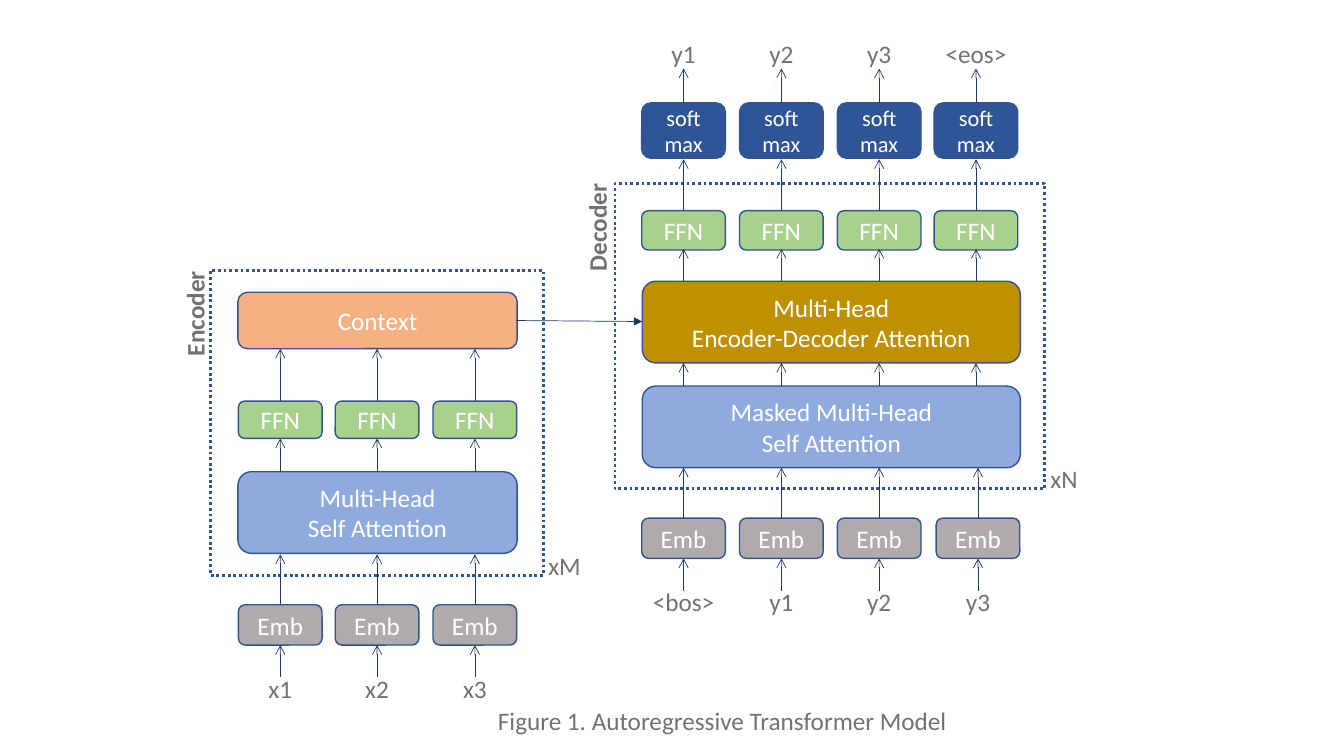
from lxml import etree
from pptx import Presentation
from pptx import util as u
from pptx.dml.color import RGBColor
from pptx.enum import dml, shapes, text
from pptx.oxml.ns import qn

WHITE, GRAY, NAVY, BLUE, EDGE = "FFFFFF", "767171", "203864", "2F5597", "325491"
GREEN, STONE, SKY, ORANGE, GOLD = "A9D18E", "AFABAB", "8FAADC", "F4B183", "BF9000"
CELL_WIDTH = 0.83


def color(value):
    return RGBColor.from_string(value)


class Diagram:
    font = "Calibri"

    def __init__(self, slide):
        self.slide = slide

    def set_text(self, shape, words, size, fill, align, bold=False):
        shape.text_frame.text = words
        for paragraph in shape.text_frame.paragraphs:
            paragraph.alignment = align
            for run in paragraph.runs:
                run.font.name = self.font
                run.font.size = u.Pt(size)
                run.font.bold = bold
                run.font.color.rgb = color(fill)

    def shape(self, kind, left, top, width, height, line, weight):
        shape = self.slide.shapes.add_shape(
            kind, u.Inches(left), u.Inches(top), u.Inches(width), u.Inches(height))
        shape.shadow.inherit = False
        shape.line.color.rgb = color(line)
        shape.line.width = u.Pt(weight)
        return shape

    def block(self, left, top, width, height, words, fill, size=18):
        shape = self.shape(shapes.MSO_SHAPE.ROUNDED_RECTANGLE,
                           left, top, width, height, EDGE, 1)
        shape.fill.solid()
        shape.fill.fore_color.rgb = color(fill)
        shape.text_frame.vertical_anchor = text.MSO_ANCHOR.MIDDLE
        self.set_text(shape, words, size, WHITE, text.PP_ALIGN.CENTER)

    def frame(self, left, top, width, height):
        shape = self.shape(shapes.MSO_SHAPE.RECTANGLE,
                           left, top, width, height, BLUE, 2)
        shape.fill.background()
        shape.line.dash_style = dml.MSO_LINE.ROUND_DOT

    def label(self, left, top, width, words, align=text.PP_ALIGN.LEFT,
              bold=False, rotation=0):
        shape = self.slide.shapes.add_textbox(
            u.Inches(left), u.Inches(top), u.Inches(width), u.Inches(0.4))
        shape.text_frame.word_wrap = True
        shape.rotation = rotation
        self.set_text(shape, words, 18, GRAY, align, bold)

    def arrow(self, x1, y1, x2, y2, head="arrow"):
        connector = self.slide.shapes.add_connector(
            shapes.MSO_CONNECTOR.STRAIGHT,
            u.Inches(x1), u.Inches(y1), u.Inches(x2), u.Inches(y2))
        connector.line.color.rgb = color(NAVY)
        connector.line.width = u.Pt(0.5)
        properties = connector.element.spPr
        etree.SubElement(properties.find(qn("a:ln")), qn("a:tailEnd"), type=head)
        etree.SubElement(properties, qn("a:effectLst"))

    def block_row(self, centers, top, height, words, fill, size=18):
        for center in centers:
            self.block(center - CELL_WIDTH / 2, top, CELL_WIDTH, height, words, fill, size)

    def arrow_row(self, centers, *spans):
        for start, end in spans:
            for center in centers:
                self.arrow(center, start, center, end)

    def label_row(self, centers, top, names):
        for center, name in zip(centers, names):
            self.label(center - 0.5, top, 1, name, text.PP_ALIGN.CENTER)


presentation = Presentation()
presentation.slide_width = u.Inches(13.33)
presentation.slide_height = u.Inches(7.5)
diagram = Diagram(presentation.slides.add_slide(presentation.slide_layouts[6]))

encoder_columns = [2.78, 3.74, 4.71]
decoder_columns = [6.78, 7.75, 8.72, 9.68]
input_columns = decoder_columns[:3] + [9.7]

diagram.block(2.36, 2.9, 2.77, 0.56, "Context", ORANGE)
diagram.block_row(encoder_columns, 3.98, 0.37, "FFN", GREEN)
diagram.block(2.36, 4.68, 2.77, 0.81, "Multi-Head\nSelf Attention", SKY)
diagram.block_row(encoder_columns, 6, 0.4, "Emb", STONE)
diagram.frame(2.09, 2.68, 3.3, 3.03)
diagram.arrow_row(encoder_columns, (6.72, 6.4), (6, 5.5), (4.68, 4.35), (3.98, 3.46))
diagram.label_row(encoder_columns, 6.63, ["x1", "x2", "x3"])
diagram.label(1.4, 2.9, 1.06, "Encoder", bold=True, rotation=270)
diagram.label(5.34, 5.41, 0.6, "xM")

diagram.block_row(decoder_columns, 1.02, 0.55, "soft\nmax", BLUE, 16)
diagram.block_row(decoder_columns, 2.09, 0.39, "FFN", GREEN)
diagram.block(6.37, 2.79, 3.75, 0.81, "Multi-Head\nEncoder-Decoder Attention", GOLD)
diagram.block(6.37, 3.83, 3.75, 0.81, "Masked Multi-Head\nSelf Attention", SKY)
diagram.block_row(input_columns, 5.14, 0.4, "Emb", STONE)
diagram.frame(6.1, 1.82, 4.26, 3.03)
diagram.arrow_row(decoder_columns, (3.83, 3.6), (2.79, 2.47), (2.09, 1.58), (1.02, 0.68))
diagram.arrow_row(input_columns, (5.86, 5.54), (5.14, 4.64))
diagram.label_row(decoder_columns, 0.33, ["y1", "y2", "y3", "<eos>"])
diagram.label_row(input_columns, 5.77, ["<bos>", "y1", "y2", "y3"])
diagram.label(5.37, 2.04, 1.1, "Decoder", bold=True, rotation=270)
diagram.label(10.32, 4.55, 0.6, "xN")

diagram.arrow(5.12, 3.18, 6.37, 3.19, "triangle")
diagram.label(4.84, 6.95, 4.98, "Figure 1. Autoregressive Transformer Model")

presentation.save("out.pptx")
